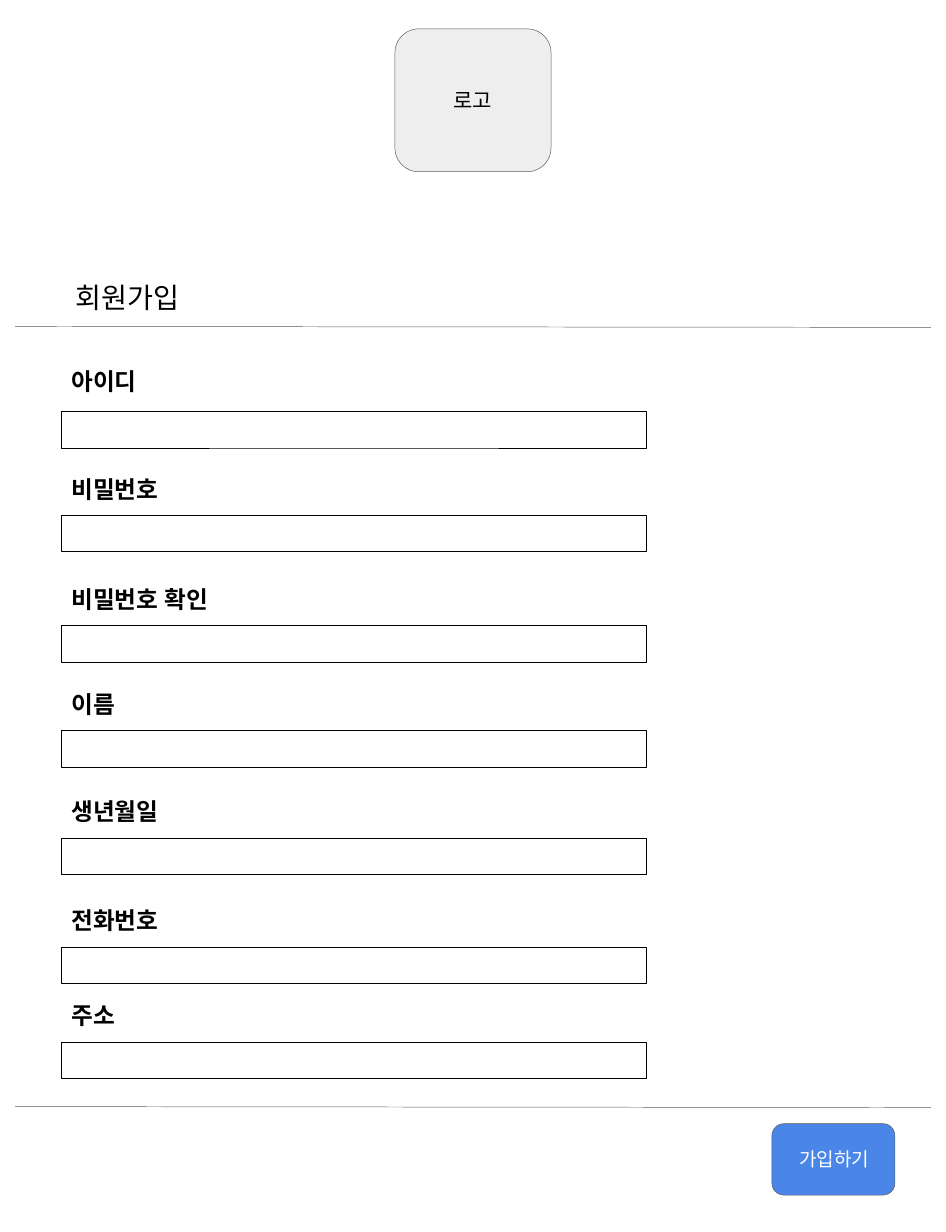
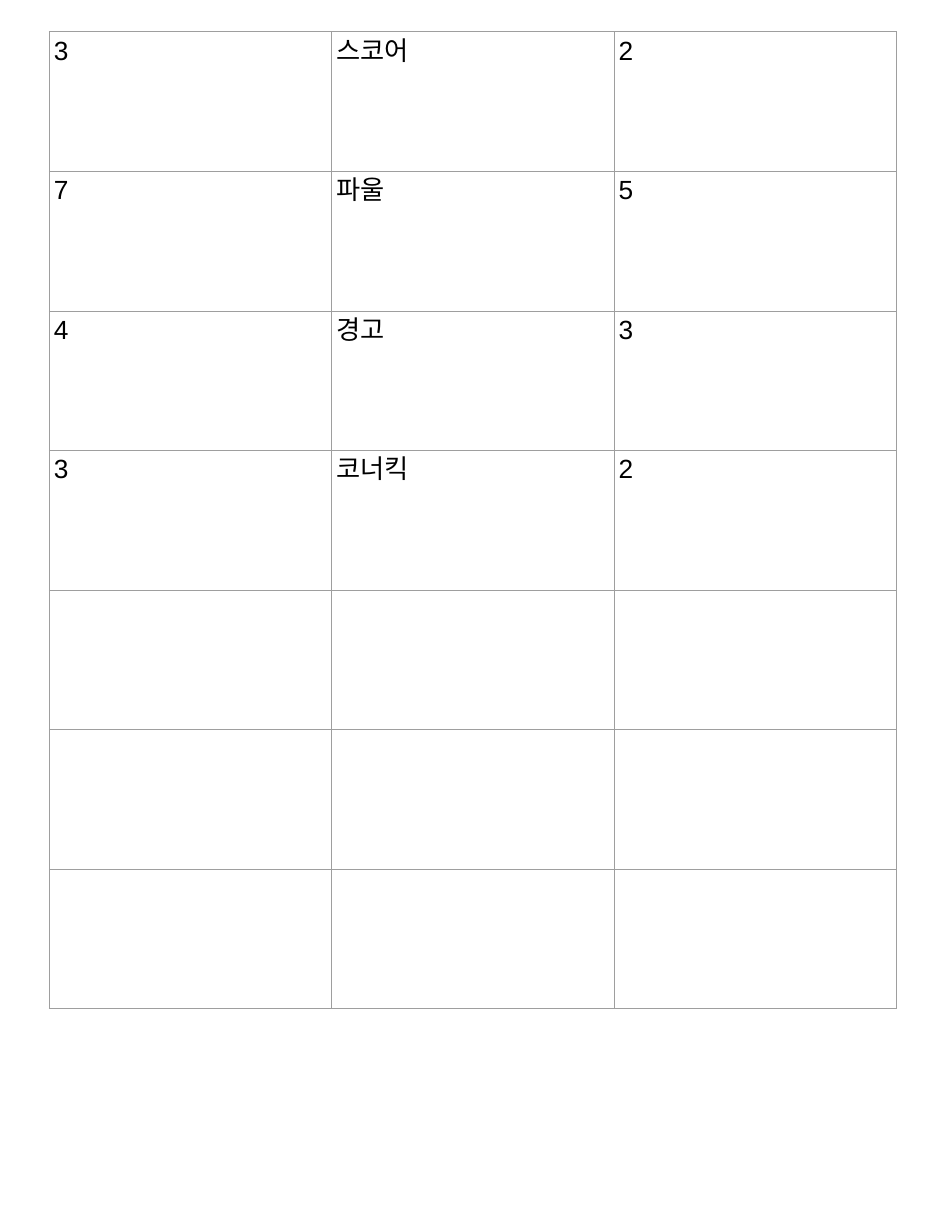
from dataclasses import dataclass

from lxml.etree import SubElement
from pptx import Presentation
from pptx.dml.color import RGBColor
from pptx.enum.shapes import MSO_CONNECTOR, MSO_SHAPE
from pptx.enum.text import MSO_ANCHOR as Anchor, MSO_AUTO_SIZE, PP_ALIGN as Align
from pptx.oxml.ns import qn
from pptx.util import Inches, Pt


@dataclass(frozen=True)
class Theme:
    """Colours, font, type sizes and line weights shared by the slides."""
    font: str = "Arial"
    black: str = "000000"
    white: str = "FFFFFF"
    logo_grey: str = "EEEEEE"
    outline: str = "595959"
    grid: str = "9E9E9E"
    action: str = "4A86E8"
    title_size: int = 43
    label_size: int = 36
    logo_size: int = 32
    button_size: int = 29
    score_size: int = 40
    thin: float = 0.75
    field_line: float = 1.5
    title_line: float = 2.25


@dataclass(frozen=True)
class Box:
    """A region in inches."""
    left: float
    top: float
    width: float
    height: float

    def emu(self):
        """Return the region as four lengths."""
        return [Inches(v) for v in (self.left, self.top, self.width, self.height)]


THEME = Theme()
PAGE = Box(0, 0, 20, 26.04)
FIELD_TOPS = [
    ("아이디", 7.56, 8.7),
    ("비밀번호", 9.83, 10.89),
    ("비밀번호 확인", 12.16, 13.23),
    ("이름", 14.39, 15.45),
    ("생년월일", 16.65, 17.72),
    ("전화번호", 18.95, 20.02),
    ("주소", 20.96, 22.03),
]
SCORES = [("3", "스코어", "2"), ("7", "파울", "5"), ("4", "경고", "3"), ("3", "코너킥", "2")]
SCORE_ROWS = 7


def rgb(colour):
    """Turn a hex string into a colour."""
    return RGBColor.from_string(colour)


def write(frame, text, size, colour=THEME.black, bold=False, align=Align.LEFT):
    """Set one paragraph of text and format its run."""
    paragraph = frame.paragraphs[0]
    paragraph.text = text
    paragraph.alignment = align
    for run in paragraph.runs:
        run.font.size = Pt(size)
        run.font.bold = bold
        run.font.color.rgb = rgb(colour)
        run.font.name = THEME.font
        properties = run._r.get_or_add_rPr()
        for script in ("a:ea", "a:cs"):
            SubElement(properties, qn(script), typeface=THEME.font)


def inset(frame, margin, left=None):
    """Set the inner margins, with an optional indent on the left."""
    frame.word_wrap = True
    frame.margin_top = frame.margin_bottom = frame.margin_right = Inches(margin)
    frame.margin_left = Inches(margin if left is None else left)


def outline(shape, colour, weight):
    """Set the line of a shape or connector."""
    shape.line.color.rgb = rgb(colour)
    shape.line.width = Pt(weight)


def add_panel(slide, box, kind, fill, line, weight):
    """Add a filled preset shape without a shadow."""
    panel = slide.shapes.add_shape(kind, *box.emu())
    panel.shadow.inherit = False
    panel.fill.solid()
    panel.fill.fore_color.rgb = rgb(fill)
    outline(panel, line, weight)
    return panel


def add_rounded(slide, box, fill):
    """Add a rounded panel with the shared outline."""
    return add_panel(slide, box, MSO_SHAPE.ROUNDED_RECTANGLE, fill, THEME.outline, THEME.thin)


def add_logo_slot(slide, box):
    """Add the grey slot for the logo."""
    frame = add_rounded(slide, box, THEME.logo_grey).text_frame
    inset(frame, 0.24)
    frame.vertical_anchor = Anchor.MIDDLE
    write(frame, "로고", THEME.logo_size, align=Align.CENTER)


def add_heading(slide, box, text):
    """Move and format the title placeholder."""
    heading = slide.shapes.title
    heading.left, heading.top, heading.width, heading.height = box.emu()
    outline(heading, THEME.white, THEME.title_line)
    frame = heading.text_frame
    frame.auto_size = MSO_AUTO_SIZE.NONE
    frame.vertical_anchor = Anchor.TOP
    inset(frame, 0.1, left=1.6)
    write(frame, text, THEME.title_size)


def add_field(slide, box, label, entry_top):
    """Add a bold label at the top of the box and its entry below."""
    caption = slide.shapes.add_textbox(*Box(box.left, box.top, 10.81, 1.07).emu()).text_frame
    inset(caption, 0.2)
    write(caption, label, THEME.label_size, bold=True)
    entry = Box(box.left, entry_top, box.width, box.height)
    add_panel(slide, entry, MSO_SHAPE.RECTANGLE, THEME.white, THEME.black, THEME.field_line)


def add_divider(slide, box):
    """Add a thin rule from corner to corner of the box."""
    left, top, width, height = box.emu()
    rule = slide.shapes.add_connector(
        MSO_CONNECTOR.STRAIGHT, left, top, left + width, top + height)
    outline(rule, THEME.outline, THEME.thin)
    SubElement(rule._element.spPr, qn("a:effectLst"))


def add_join_button(slide, box):
    """Add the blue sign-up button."""
    frame = add_rounded(slide, box, THEME.action).text_frame
    inset(frame, 0.1, left=0.5)
    frame.vertical_anchor = Anchor.MIDDLE
    write(frame, "가입하기", THEME.button_size, THEME.white)


def border_cell(cell):
    """Draw a thin grid line on each side of a cell."""
    properties = cell._tc.get_or_add_tcPr()
    for side in ("a:lnL", "a:lnR", "a:lnT", "a:lnB"):
        line = SubElement(properties, qn(side), w=str(Pt(THEME.thin)))
        fill = SubElement(line, qn("a:solidFill"))
        SubElement(fill, qn("a:srgbClr"), val=THEME.grid)


def add_score_table(slide, box):
    """Add the match table, with empty rows after the scores."""
    table = slide.shapes.add_table(SCORE_ROWS, len(SCORES[0]), *box.emu()).table
    table.first_row = table.horz_banding = False
    for column in table.columns:
        column.width = Inches(box.width / len(table.columns))
    for row in table.rows:
        row.height = Inches(box.height / SCORE_ROWS)
        for cell in row.cells:
            border_cell(cell)
            cell.fill.background()
            cell.margin_left = cell.margin_right = Inches(0.1)
            cell.margin_top = cell.margin_bottom = Inches(0.1)
    for r, values in enumerate(SCORES):
        for c, value in enumerate(values):
            write(table.cell(r, c).text_frame, value, THEME.score_size)


def build_signup(slide, page):
    """Lay out the sign-up form."""
    add_logo_slot(slide, Box((page.width - 3.3) / 2, 0.61, 3.3, 3.02))
    add_heading(slide, Box(page.left, 5.83, 16.63, 1.07), "회원가입")
    for label, label_top, entry_top in FIELD_TOPS:
        add_field(slide, Box(1.31, label_top, 12.35, 0.77), label, entry_top)
    for top in (6.9, 23.39):
        add_divider(slide, Box(0.32, top, page.width - 0.64, 0.02))
    add_join_button(slide, Box(16.32, 23.75, 2.6, 1.51))


def build_scores(slide, page):
    """Lay out the match score page."""
    add_score_table(slide, Box(page.left + 1.04, page.top + 0.67, 17.91, 20.65))


def main():
    """Build and save the presentation."""
    deck = Presentation()
    deck.slide_width, deck.slide_height = PAGE.emu()[2:]
    title_only, blank = deck.slide_layouts[5], deck.slide_layouts[6]
    build_signup(deck.slides.add_slide(title_only), PAGE)
    build_scores(deck.slides.add_slide(blank), PAGE)
    deck.save("out.pptx")


if __name__ == "__main__":
    main()
